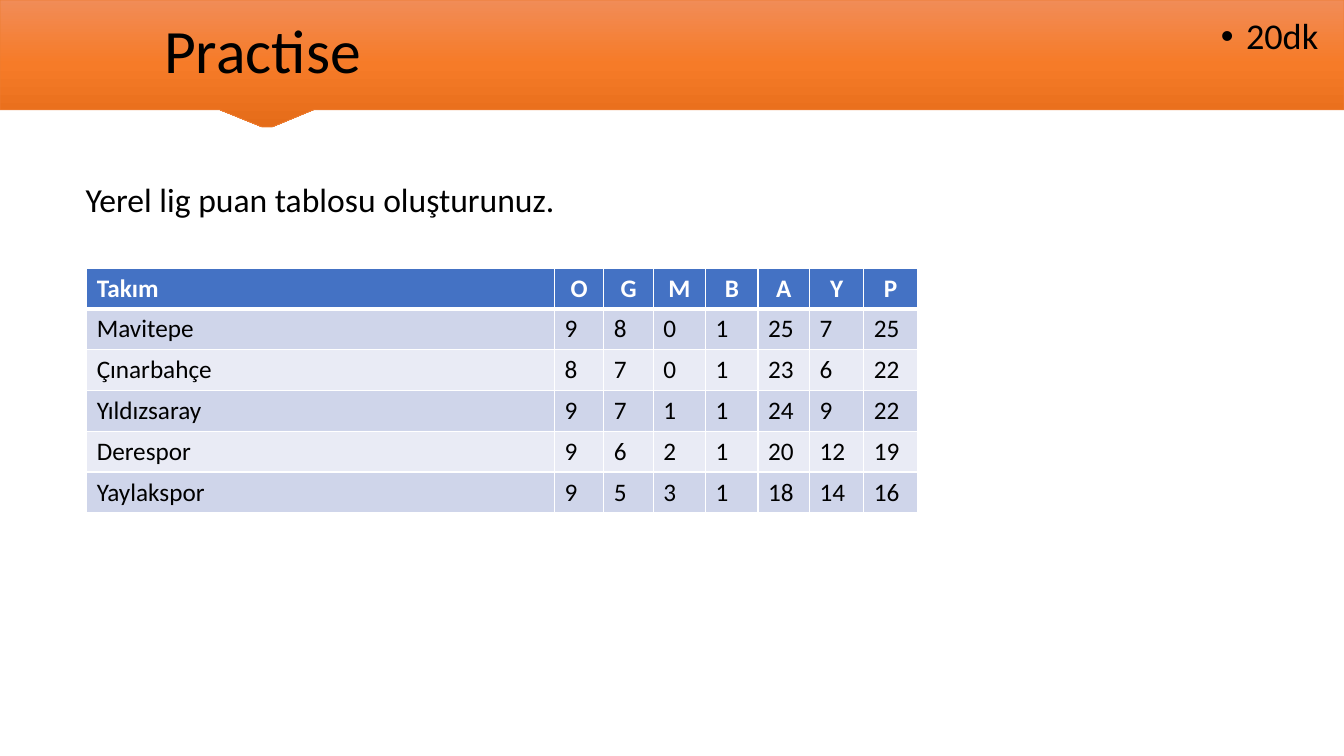
from copy import deepcopy

from lxml import etree
from pptx import Presentation
from pptx.dml.color import RGBColor
from pptx.enum.text import MSO_ANCHOR, MSO_AUTO_SIZE, PP_ALIGN
from pptx.oxml.ns import qn
from pptx.util import Inches, Pt

LEFT, CENTER = PP_ALIGN.LEFT, PP_ALIGN.CENTER
TOP, MIDDLE = MSO_ANCHOR.TOP, MSO_ANCHOR.MIDDLE
GROW = MSO_AUTO_SIZE.SHAPE_TO_FIT_TEXT

COLORS = {
    "light": "F18C57", "mid": "F67B28", "dark": "E56C19", "edge": "ED7D31",
    "head": "4472C4", "odd": "CFD5EA", "even": "E9EBF5",
    "black": "000000", "white": "FFFFFF",
}
RGB = {name: RGBColor.from_string(value) for name, value in COLORS.items()}


def write(frame, text, size=18, color="black", bold=False, align=LEFT,
          anchor=TOP, spacing=1.0, bullet=None):
    frame.word_wrap = True
    frame.vertical_anchor = anchor
    para = frame.paragraphs[0]
    para.alignment = align
    para.line_spacing = spacing
    if bullet:
        props = para._p.get_or_add_pPr()
        props.set("marL", str(Inches(0.25)))
        props.set("indent", str(-Inches(0.25)))
        etree.SubElement(props, qn("a:buFont")).set("typeface", "Arial")
        etree.SubElement(props, qn("a:buChar")).set("char", bullet)
    run = para.add_run()
    run.text = text
    font = run.font
    font.name, font.size, font.bold = "Calibri", Pt(size), bold
    font.color.rgb = RGB[color]


def border(cell, side, width):
    line = etree.SubElement(cell._tc.get_or_add_tcPr(), qn("a:ln" + side))
    line.set("w", str(Pt(width)))
    fill = etree.SubElement(line, qn("a:solidFill"))
    etree.SubElement(fill, qn("a:srgbClr")).set("val", COLORS["white"])


deck = Presentation()
deck.slide_width, deck.slide_height = Inches(13.33), Inches(7.5)
slide = deck.slides.add_slide(deck.slide_layouts[6])
shapes = slide.shapes

# Orange banner with a pointer under the title
outline = [(0, 0), (0, 1.09), (2.18, 1.09), (2.6, 1.26), (2.62, 1.26),
           (2.67, 1.26), (2.7, 1.26), (3.11, 1.09), (13.33, 1.09)]
pen = shapes.build_freeform(Inches(13.33), 0)
pen.add_line_segments([(Inches(x), Inches(y)) for x, y in outline], close=True)
banner = pen.convert_to_shape()
banner.shadow.inherit = False
banner.fill.gradient()
banner.fill.gradient_angle = 270
stop_list = banner._element.spPr.find(".//" + qn("a:gsLst"))
stop_list.append(deepcopy(stop_list[0]))
shades = zip(banner.fill.gradient_stops, ("light", "mid", "dark"), (0, 0.5, 1))
for stop, shade, place in shades:
    stop.color.rgb = RGB[shade]
    stop.position = place
banner.line.color.rgb = RGB["edge"]
banner.line.width = Pt(0.5)

# Title, time limit and task
texts = [
    ("Practise", (1.53, 0, 9.75, 1.06),
     dict(size=44, anchor=MIDDLE, spacing=0.9)),
    ("20dk", (12.01, 0.13, 1.22, 0.82),
     dict(size=25.9, spacing=0.9, bullet="•")),
    ("Yerel lig puan tablosu oluşturunuz.", (0.75, 1.73, 11.85, 0.5),
     dict(size=24)),
]
for text, place, style in texts:
    box = shapes.add_textbox(*[Inches(length) for length in place])
    write(box.text_frame, text, **style)
box.text_frame.auto_size = GROW

# League table
league = [
    ("Takım", "O", "G", "M", "B", "A", "Y", "P"),
    ("Mavitepe", 9, 8, 0, 1, 25, 7, 25),
    ("Çınarbahçe", 8, 7, 0, 1, 23, 6, 22),
    ("Yıldızsaray", 9, 7, 1, 1, 24, 9, 22),
    ("Derespor", 9, 6, 2, 1, 20, 12, 19),
    ("Yaylakspor", 9, 5, 3, 1, 18, 14, 16),
]
widths = [4.64, 0.49, 0.49, 0.52, 0.52, 0.51, 0.54, 0.53]
table = shapes.add_table(len(league), len(widths), Inches(0.86), Inches(2.66),
                         Inches(sum(widths)), Inches(2.43)).table
for column, width in zip(table.columns, widths):
    column.width = Inches(width)

for r, row in enumerate(league):
    head = r == 0
    shade = "head" if head else "odd" if r % 2 else "even"
    for c, value in enumerate(row):
        cell = table.cell(r, c)
        for side in "LRTB":
            thick = (r, side) in ((0, "B"), (1, "T"))
            border(cell, side, 3 if thick else 1)
        cell.fill.solid()
        cell.fill.fore_color.rgb = RGB[shade]
        write(cell.text_frame, str(value), bold=head,
              color="white" if head else "black",
              align=CENTER if head and c else LEFT)

deck.save("out.pptx")
